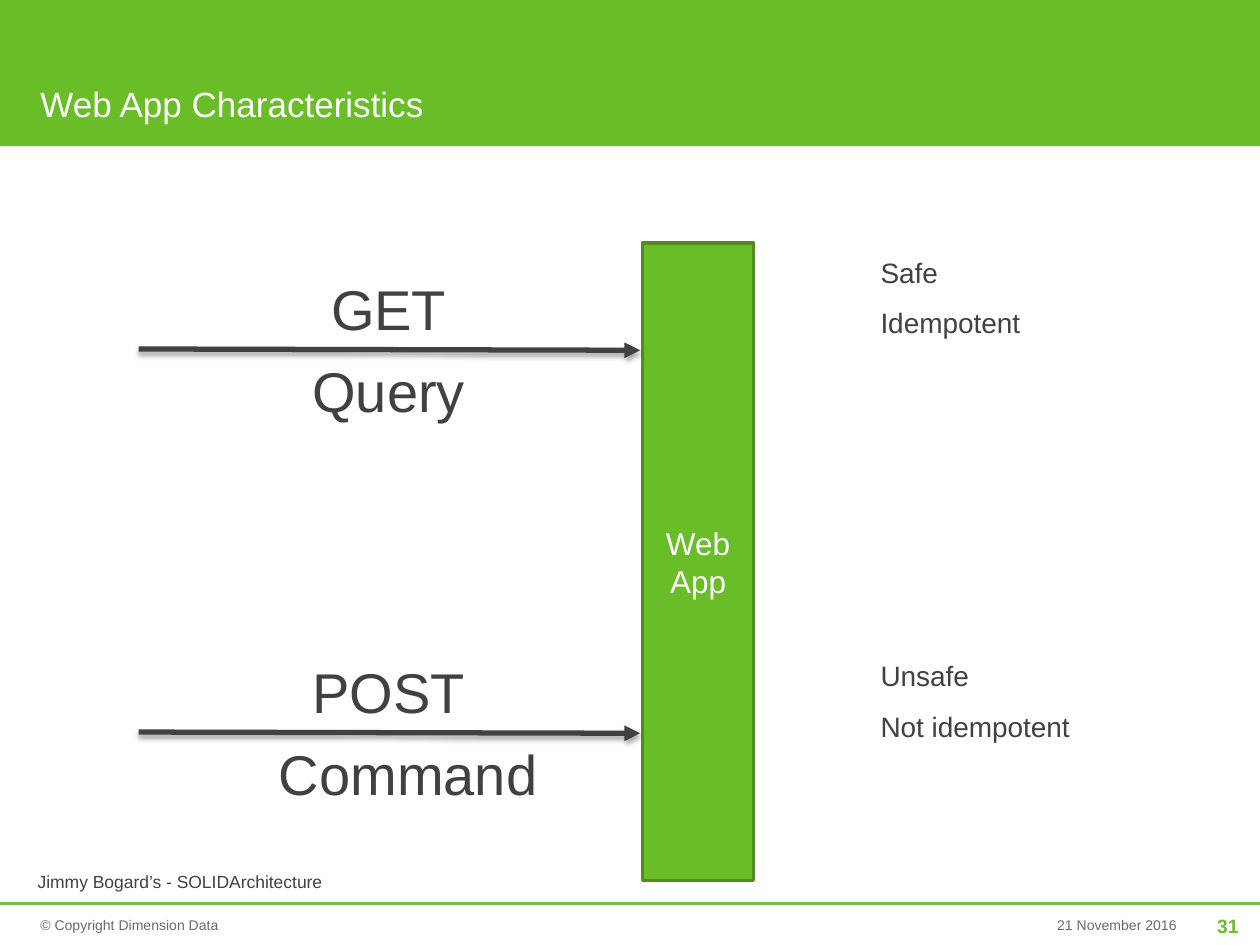
from dataclasses import dataclass

from lxml.etree import SubElement
from pptx import Presentation
from pptx.dml.color import RGBColor as RGB
from pptx.enum.shapes import MSO_CONNECTOR as CONNECTOR, MSO_SHAPE as SHAPE
from pptx.enum.text import MSO_ANCHOR as ANCHOR, PP_ALIGN as ALIGN
from pptx.oxml.ns import qn
from pptx.util import Inches, Pt


@dataclass(frozen=True)
class Theme:
    font: str = "Arial"
    green: RGB = RGB.from_string("69BE28")
    border: RGB = RGB.from_string("4E8D1E")
    rule: RGB = RGB.from_string("72BF44")
    ink: RGB = RGB.from_string("414141")
    muted: RGB = RGB.from_string("6A6A6A")
    white: RGB = RGB.from_string("FFFFFF")
    footer: int = 8
    source: int = 10
    number: int = 11
    trait: int = 16
    box: int = 18
    title: int = 20
    verb: int = 32


class SlideBuilder:
    def __init__(self, slide, theme):
        self.s = slide
        self.t = theme

    def fill_text(self, tf, lines, size, color, align=ALIGN.LEFT, bold=False,
                  spacing=None, before=0, after=0):
        for i, line in enumerate(lines):
            p = tf.paragraphs[0] if i == 0 else tf.add_paragraph()
            p.text = line
            p.alignment = align
            p.line_spacing = spacing
            p.space_before = Pt(before if i else 0)
            p.space_after = Pt(after)
            p.font.name = self.t.font
            p.font.size = Pt(size)
            p.font.bold = bold
            p.font.color.rgb = color

    def text(self, x, y, w, h, lines, size, color, anchor=ANCHOR.TOP,
             inset=True, wrap=True, **style):
        sp = self.s.shapes.add_textbox(Inches(x), Inches(y), Inches(w), Inches(h))
        tf = sp.text_frame
        tf.word_wrap = wrap
        tf.vertical_anchor = anchor
        if not inset:
            tf.margin_left = tf.margin_right = tf.margin_top = tf.margin_bottom = 0
        self.fill_text(tf, lines, size, color, **style)

    def rect(self, x, y, w, h, fill, border=None, label=None):
        sp = self.s.shapes.add_shape(SHAPE.RECTANGLE, Inches(x), Inches(y),
                                     Inches(w), Inches(h))
        sp.shadow.inherit = False
        sp.fill.solid()
        sp.fill.fore_color.rgb = fill
        if border:
            sp.line.color.rgb = border
            sp.line.width = Pt(2)
        else:
            sp.line.fill.background()
        if label:
            sp.text_frame.vertical_anchor = ANCHOR.MIDDLE
            self.fill_text(sp.text_frame, [label], self.t.box, self.t.white,
                           align=ALIGN.CENTER)

    def line(self, x1, y1, x2, y2, color, width, arrow=False):
        sp = self.s.shapes.add_connector(CONNECTOR.STRAIGHT, Inches(x1), Inches(y1),
                                         Inches(x2), Inches(y2))
        sp.line.color.rgb = color
        sp.line.width = Pt(width)
        props = sp._element.spPr
        effects = SubElement(props, qn("a:effectLst"))
        if arrow:
            SubElement(props.find(qn("a:ln")), qn("a:tailEnd"), type="triangle")
            shadow = SubElement(effects, qn("a:outerShdw"), blurRad=str(Pt(3.1)),
                                dist=str(Pt(1.8)), dir="5400000", rotWithShape="0")
            black = SubElement(shadow, qn("a:srgbClr"), val="000000")
            SubElement(black, qn("a:alpha"), val="35000")


def main():
    prs = Presentation()
    prs.slide_width, prs.slide_height = Inches(10), Inches(7.5)
    t = Theme()
    b = SlideBuilder(prs.slides.add_slide(prs.slide_layouts[6]), t)

    # Footer
    footer = dict(anchor=ANCHOR.MIDDLE, inset=False, spacing=1.1, after=0.1)
    b.text(0.32, 7.17, 4.68, 0.33, ["© Copyright Dimension Data"], t.footer, t.muted,
           **footer)
    b.text(9.42, 7.17, 0.41, 0.34, ["31"], t.number, t.green, align=ALIGN.RIGHT,
           bold=True, **footer)
    b.text(7.5, 7.17, 1.84, 0.33, ["21 November 2016"], t.footer, t.muted,
           align=ALIGN.RIGHT, **footer)
    b.line(0, 7.17, 10, 7.17, t.rule, 1.5)

    # Title band
    b.rect(0, 0, 10, 1.16, t.green)
    b.text(0.32, 0.08, 7.01, 0.91, ["Web App Characteristics"], t.title, t.white,
           anchor=ANCHOR.BOTTOM, inset=False, spacing=1.2, after=2)

    # Web app
    b.rect(5.1, 1.93, 0.88, 5.06, t.green, t.border, "Web App")

    # Requests: arrow with verb above and kind below, traits at the right
    requests = [
        (2.77, "GET", "Query", 1.97, ["Safe", "Idempotent"]),
        (5.81, "POST", "Command", 2.28, ["Unsafe", "Not idempotent"]),
    ]
    for y, verb, kind, kind_width, _ in requests:
        b.line(1.1, y, 5.08, y + 0.01, t.ink, 3, arrow=True)
        b.text(2.1, y - 0.64, 1.97, 0.64, [verb], t.verb, t.ink, align=ALIGN.CENTER)
        b.text(2.1, y + 0.01, kind_width, 0.64, [kind], t.verb, t.ink,
               align=ALIGN.CENTER)
    for i, request in enumerate(requests):
        b.text(6.89, 1.94 + 3.2 * i, 2.9, 0.85, request[-1], t.trait, t.ink,
               spacing=1.14, before=6, after=1)

    # Source
    b.text(0.2, 6.86, 2.49, 0.27, ["Jimmy Bogard’s - SOLIDArchitecture"], t.source,
           t.ink, wrap=False)

    prs.save("out.pptx")


if __name__ == "__main__":
    main()
